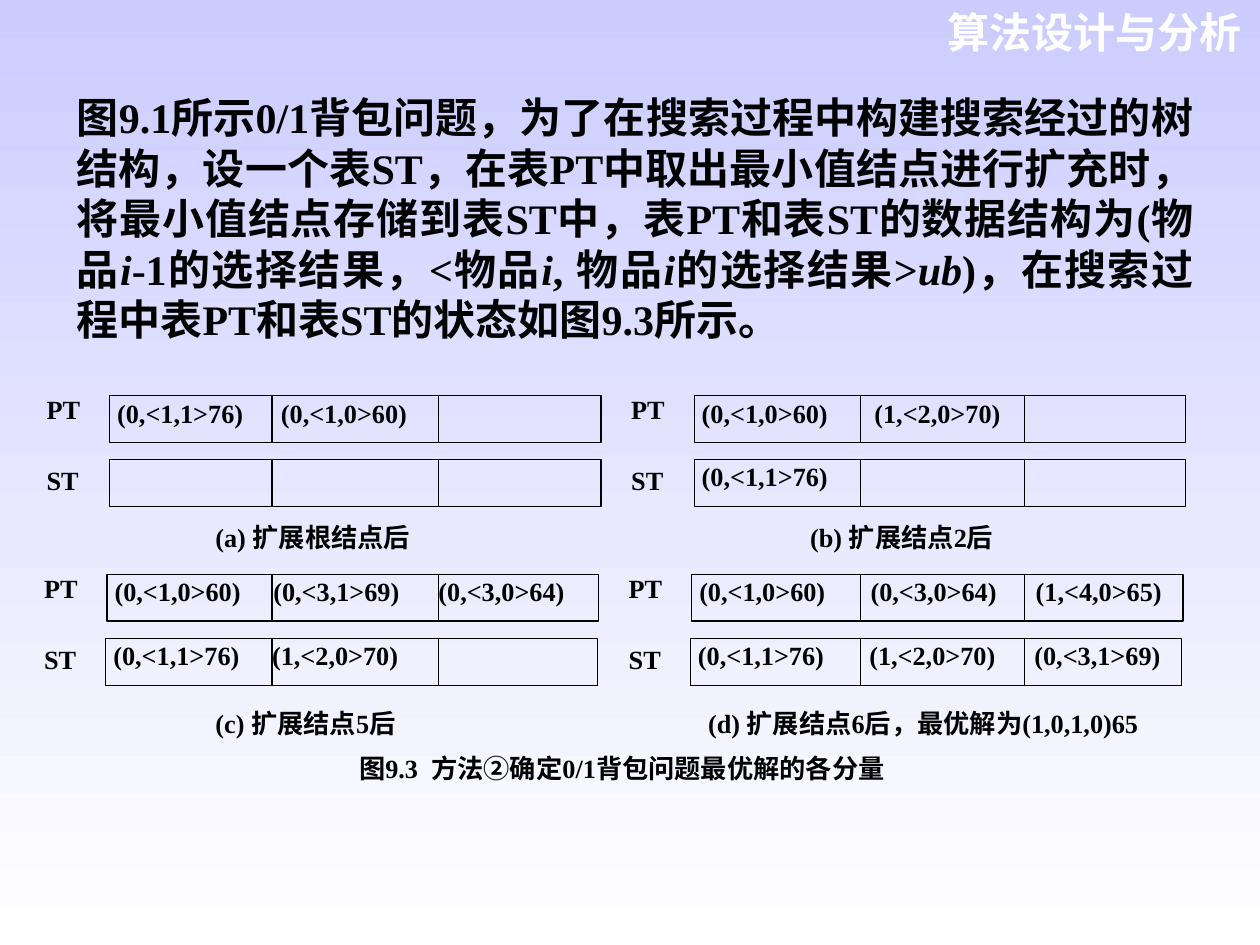
from lxml import etree
from pptx import Presentation
from pptx.dml.color import RGBColor
from pptx.enum.shapes import MSO_CONNECTOR, MSO_SHAPE
from pptx.enum.text import MSO_ANCHOR, PP_ALIGN
from pptx.oxml.ns import qn
from pptx.util import Inches, Pt

RECT, LINE = MSO_SHAPE.RECTANGLE, MSO_CONNECTOR.STRAIGHT
TOP, JUST, RIGHT = MSO_ANCHOR.TOP, PP_ALIGN.JUSTIFY, PP_ALIGN.RIGHT
SERIF, SANS, BLACK, WHITE = "Times New Roman", "Arial", "000000", "FFFFFF"

HEAD = "算法设计与分析"
BODY = [
    ("图9.1所示0/1背包问题，为了在搜索过程中构建搜索经过的树结构，设一个表ST，"
     "在表PT中取出最小值结点进行扩充时，将最小值结点存储到表ST中，"
     "表PT和表ST的数据结构为(物品", False),
    ("i", True), ("-1的选择结果，<物品", False), ("i", True), (", 物品", False),
    ("i", True), ("的选择结果>", False), ("ub", True),
    (")，在搜索过程中表PT和表ST的状态如图9.3所示。", False),
]
PANELS = [
    {"PT": ["(0,<1,1>76)", "(0,<1,0>60)"], "ST": [], "tabs": (1.3, 2.6)},
    {"PT": ["(0,<1,0>60)", "(1,<2,0>70)"], "ST": ["(0,<1,1>76)"],
     "tabs": (1.37, 2.67)},
    {"PT": ["(0,<1,0>60)", "(0,<3,1>69)", "(0,<3,0>64)"],
     "ST": ["(0,<1,1>76)", "(1,<2,0>70)"], "tabs": (1.26, 2.57)},
    {"PT": ["(0,<1,0>60)", "(0,<3,0>64)", "(1,<4,0>65)"],
     "ST": ["(0,<1,1>76)", "(1,<2,0>70)", "(0,<3,1>69)"], "tabs": (1.36, 2.67)},
]
NOTES = [
    (["(a) 扩展根结点后", "(b) 扩展结点2后"], 4.72),
    (["(c) 扩展结点5后", "(d) 扩展结点6后，最优解为(1,0,1,0)65"], 3.91),
]
FIGURE = "图9.3  方法②确定0/1背包问题最优解的各分量"
SPLITS = [(2.16, 3.48), (6.83, 8.13)]
LEFT, COL, WIDE = 0.87, 4.64, 3.9
UPPER, ROW, GAP, HIGH = 3.14, 1.42, 0.51, 0.37


def paint(hue):
    """Turn a hex string into a colour."""
    return RGBColor.from_string(hue)


def style(para, size=15, face=SERIF, hue=BLACK, align=JUST, tabs=()):
    """Set tab stops, alignment and font of a paragraph."""
    para.alignment = align
    if tabs:
        stops = etree.SubElement(para._p.get_or_add_pPr(), qn("a:tabLst"))
        for stop in tabs:
            etree.SubElement(stops, qn("a:tab"), pos=str(Inches(stop)), algn="l")
    font = para.font
    font.size, font.name, font.bold = Pt(size), face, True
    font.color.rgb = paint(hue)


def frame(shape, sides=0, ends=0, right=None):
    """Set the margins of a shape's text and return its frame."""
    text = shape.text_frame
    text.word_wrap, text.vertical_anchor = True, TOP
    text.margin_left = Inches(sides)
    text.margin_right = Inches(sides if right is None else right)
    text.margin_top = text.margin_bottom = Inches(ends)
    return text


def box(slide, x, y, w, h, **pads):
    """Add a text box and return its frame."""
    area = [Inches(n) for n in (x, y, w, h)]
    return frame(slide.shapes.add_textbox(*area), **pads)


def strip(slide, x, y, cells, tabs, splits, lead):
    """Draw one row of three cells."""
    rect = slide.shapes.add_shape(
        RECT, Inches(x), Inches(y), Inches(WIDE), Inches(HIGH))
    rect.shadow.inherit = False
    rect.fill.background()
    rect.line.color.rgb, rect.line.width = paint(BLACK), Pt(0.75)
    if cells:
        para = frame(rect, sides=0.06, right=0).paragraphs[0]
        para.text = "\t".join(cells)
        para.line_spacing = lead
        style(para, tabs=tabs[:len(cells) - 1])
    for split in splits:
        bar = slide.shapes.add_connector(
            LINE, Inches(split), Inches(y), Inches(split), Inches(y + HIGH))
        bar.line.color.rgb, bar.line.width = paint(BLACK), Pt(0.75)
        etree.SubElement(bar._element.spPr, qn("a:effectLst"))


def main():
    """Build the slide and save it."""
    deck = Presentation()
    deck.slide_width, deck.slide_height = Inches(10), Inches(7.5)
    slide = deck.slides.add_slide(deck.slide_layouts[5])
    back = slide.background.fill
    back.gradient()
    back.gradient_angle = 270
    for stop, hue in zip(back.gradient_stops, ("CCCCFF", WHITE)):
        stop.color.rgb = paint(hue)

    title = slide.shapes.title
    title.left, title.top = Inches(7.24), Inches(0)
    title.width, title.height = Inches(2.71), Inches(0.5)
    para = frame(title, sides=0.1, ends=0.05).paragraphs[0]
    para.text = HEAD
    style(para, 24, SANS, WHITE, RIGHT)

    para = box(slide, 0.51, 0.68, 9.06, 2.1, sides=0.1, ends=0.05).paragraphs[0]
    style(para, 24)
    for text, slant in BODY:
        run = para.add_run()
        run.text, run.font.italic = text, slant

    for i, panel in enumerate(PANELS):
        row, col = divmod(i, 2)
        x, y = LEFT + col * COL - row * 0.02, UPPER + row * ROW
        for j, name in enumerate(("PT", "ST")):
            strip(slide, x - row * j * 0.01, y + j * GAP, panel[name],
                  panel["tabs"], SPLITS[col], 1 if j else 1.04)
        names = box(slide, x - 0.5, y - 0.02, 0.34, 0.87)
        names.text = "PT\nST"
        names.paragraphs[1].space_before = Pt(22.7)
        for para in names.paragraphs:
            style(para)

    for row, (parts, tab) in enumerate(NOTES):
        note = box(slide, 1.71, 4.14 + row * 1.47, 7.56, 0.39 + row * 0.63)
        note.text = "\t".join(parts)
        style(note.paragraphs[0], tabs=[tab])
    para = note.add_paragraph()
    para.text = FIGURE
    para.space_before = Pt(7.7)
    para._p.get_or_add_pPr().set("marL", str(Inches(1.14)))
    style(para)
    deck.save("out.pptx")


if __name__ == "__main__":
    main()
